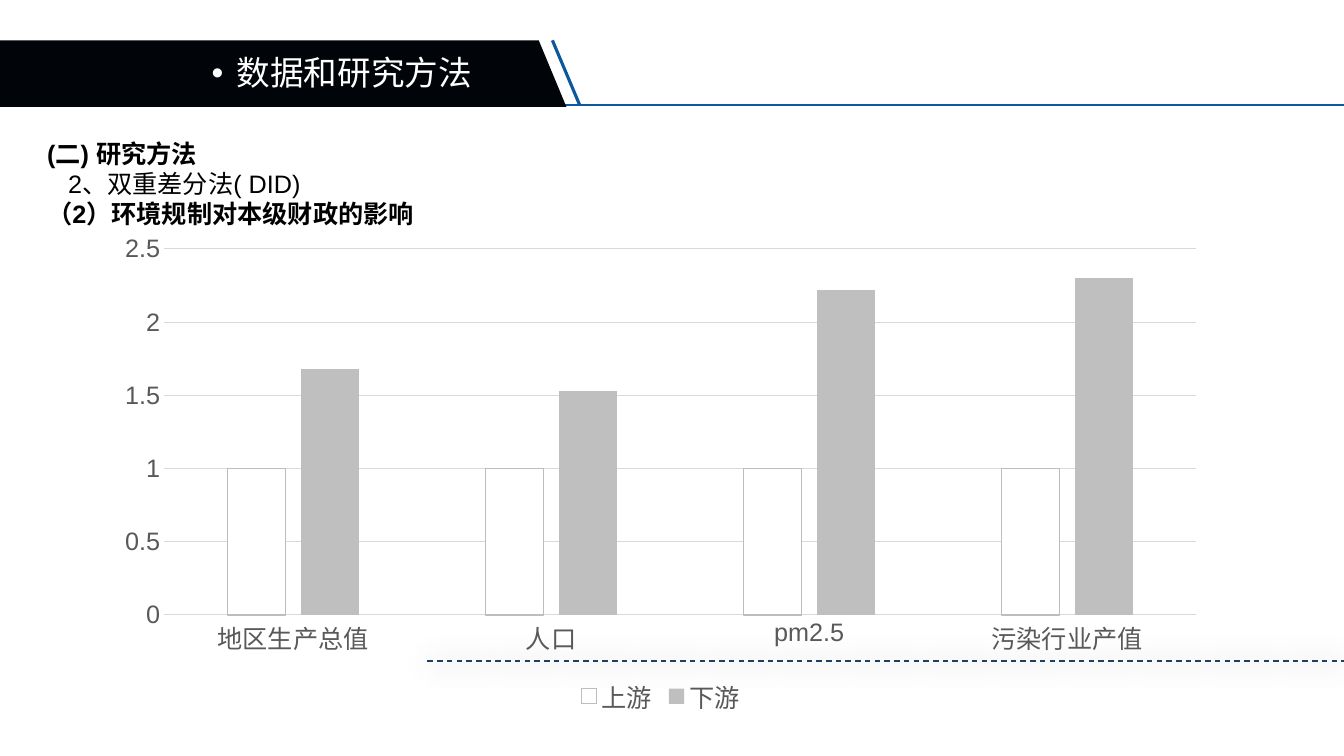
from dataclasses import dataclass

from lxml import etree
from pptx import Presentation
from pptx.chart.data import CategoryChartData
from pptx.dml.color import RGBColor
from pptx.enum.chart import XL_CHART_TYPE, XL_LEGEND_POSITION, XL_TICK_MARK
from pptx.enum.dml import MSO_LINE
from pptx.enum.shapes import MSO_CONNECTOR, MSO_SHAPE
from pptx.oxml.ns import qn
from pptx.util import Pt

COLUMN = XL_CHART_TYPE.COLUMN_CLUSTERED
BOTTOM = XL_LEGEND_POSITION.BOTTOM
NO_TICK = XL_TICK_MARK.NONE
DASH = MSO_LINE.DASH
STRAIGHT = MSO_CONNECTOR.STRAIGHT
PARALLELOGRAM = MSO_SHAPE.PARALLELOGRAM


@dataclass(frozen=True)
class Theme:
    blue: str = "0C589E"
    navy: str = "1F4060"
    banner: str = "010408"
    white: str = "FFFFFF"
    black: str = "000000"
    label: str = "595959"
    grid: str = "D9D9D9"
    outline: str = "BDBDBD"
    bar: str = "BFBFBF"
    latin: str = "Arial"
    chinese: str = "Noto Sans CJK SC"
    title_size: int = 24
    body_size: int = 18


class SlideBuilder:
    def __init__(self, slide, theme):
        self.slide = slide
        self.theme = theme

    def style_font(self, font, color, size, name, bold=False):
        font.name = name
        font.size = Pt(size)
        font.bold = bold
        font.color.rgb = RGBColor.from_string(color)

    def style_line(self, line, color, width):
        line.color.rgb = RGBColor.from_string(color)
        line.width = Pt(width)

    def style_fill(self, fill, color):
        fill.solid()
        fill.fore_color.rgb = RGBColor.from_string(color)

    def banner(self, left, top, width, height, slant):
        shape = self.slide.shapes.add_shape(
            PARALLELOGRAM, Pt(left), Pt(top), Pt(width), Pt(height))
        shape.adjustments[0] = slant
        shape.shadow.inherit = False
        self.style_fill(shape.fill, self.theme.banner)
        shape.line.fill.background()
        shape._element.spPr.find(qn("a:xfrm")).set("flipH", "1")

    def line(self, start, end, color, width, dash=None, blur=None):
        connector = self.slide.shapes.add_connector(
            STRAIGHT, *(Pt(value) for value in start + end))
        self.style_line(connector.line, color, width)
        if dash:
            connector.line.dash_style = dash
        effects = etree.SubElement(connector._element.spPr, qn("a:effectLst"))
        if blur:
            shadow = etree.SubElement(
                effects, qn("a:outerShdw"), blurRad=str(Pt(blur)),
                dist="0", dir="5400000", algn="t", rotWithShape="0")
            tint = etree.SubElement(shadow, qn("a:srgbClr"), val=self.theme.black)
            etree.SubElement(tint, qn("a:alpha"), val="76000")

    def text(self, left, top, width, height, lines, color, size, latin):
        box = self.slide.shapes.add_textbox(Pt(left), Pt(top), Pt(width), Pt(height))
        frame = box.text_frame
        frame.word_wrap = True
        frame.text = "\n".join(wording for wording, bold, indent in lines)
        for paragraph, (wording, bold, indent) in zip(frame.paragraphs, lines):
            paragraph._p.get_or_add_pPr().set("marL", str(Pt(indent)))
            for run in paragraph.runs:
                self.style_font(run.font, color, size, latin, bold)
                etree.SubElement(run._r.rPr, qn("a:ea"), typeface=self.theme.chinese)
        return frame

    def bullet(self, paragraph, hanging):
        paragraph.line_spacing = 0.9
        paragraph.space_before = Pt(10)
        properties = paragraph._p.get_or_add_pPr()
        properties.set("indent", str(-Pt(hanging)))
        etree.SubElement(properties, qn("a:buFont"), typeface=self.theme.latin)
        etree.SubElement(properties, qn("a:buChar"), char="•")

    def column_chart(self, left, top, width, height, categories, series):
        theme = self.theme
        data = CategoryChartData()
        data.categories = categories
        for name, values, fill, outline in series:
            data.add_series(name, values)
        chart = self.slide.shapes.add_chart(
            COLUMN, Pt(left), Pt(top), Pt(width), Pt(height), data).chart
        chart.has_title = False
        self.style_font(chart.font, theme.label, theme.body_size, theme.latin)
        chart.has_legend = True
        chart.legend.position = BOTTOM
        chart.legend.include_in_layout = False
        self.style_font(chart.legend.font, theme.label, theme.body_size, theme.latin)
        for axis in (chart.category_axis, chart.value_axis):
            axis.major_tick_mark = NO_TICK
            axis.minor_tick_mark = NO_TICK
            self.style_font(axis.tick_labels.font, theme.label,
                            theme.body_size, theme.latin)
        self.style_line(chart.category_axis.format.line, theme.grid, 0.75)
        value_axis = chart.value_axis
        value_axis.minimum_scale = 0
        value_axis.maximum_scale = 2.5
        value_axis.major_unit = 0.5
        value_axis.format.line.fill.background()
        self.style_line(value_axis.major_gridlines.format.line, theme.grid, 0.75)
        plot = chart.plots[0]
        plot.gap_width = 219
        plot.overlap = -27
        plot.vary_by_categories = False
        for column, (name, values, fill, outline) in zip(plot.series, series):
            column.invert_if_negative = False
            self.style_fill(column.format.fill, fill)
            if outline:
                self.style_line(column.format.line, outline, 1)
            else:
                column.format.line.fill.background()


def main():
    presentation = Presentation()
    presentation.slide_width = Pt(960)
    presentation.slide_height = Pt(540)
    theme = Theme()
    slide = presentation.slides.add_slide(presentation.slide_layouts[6])
    builder = SlideBuilder(slide, theme)

    builder.line((378.7, 74.9), (960, 74.9), theme.blue, 1.75)
    builder.banner(-21.6, 28.8, 426.2, 47.5, 0.416)
    title = builder.text(144, 36.7, 468.7, 33.1, [("数据和研究方法", False, 18)],
                         theme.white, theme.title_size, theme.chinese)
    builder.bullet(title.paragraphs[0], 18)
    builder.line((394.6, 28.8), (414, 74.9), theme.blue, 2.25)
    builder.line((305.3, 472.3), (960, 472.3), theme.navy, 1, DASH, 20)

    headings = [
        ("(二) 研究方法", True, 0),
        ("2、双重差分法( DID)", False, 15),
        ("（2）环境规制对本级财政的影响", True, 0),
    ]
    builder.text(26.6, 95, 843.8, 72, headings,
                 theme.black, theme.body_size, theme.latin)
    builder.column_chart(
        73.4, 160.6, 797, 353.5,
        ["地区生产总值", "人口", "pm2.5", "污染行业产值"],
        [("上游", (1, 1, 1, 1), theme.white, theme.outline),
         ("下游", (1.68, 1.53, 2.22, 2.3), theme.bar, None)])
    presentation.save("out.pptx")


if __name__ == "__main__":
    main()
